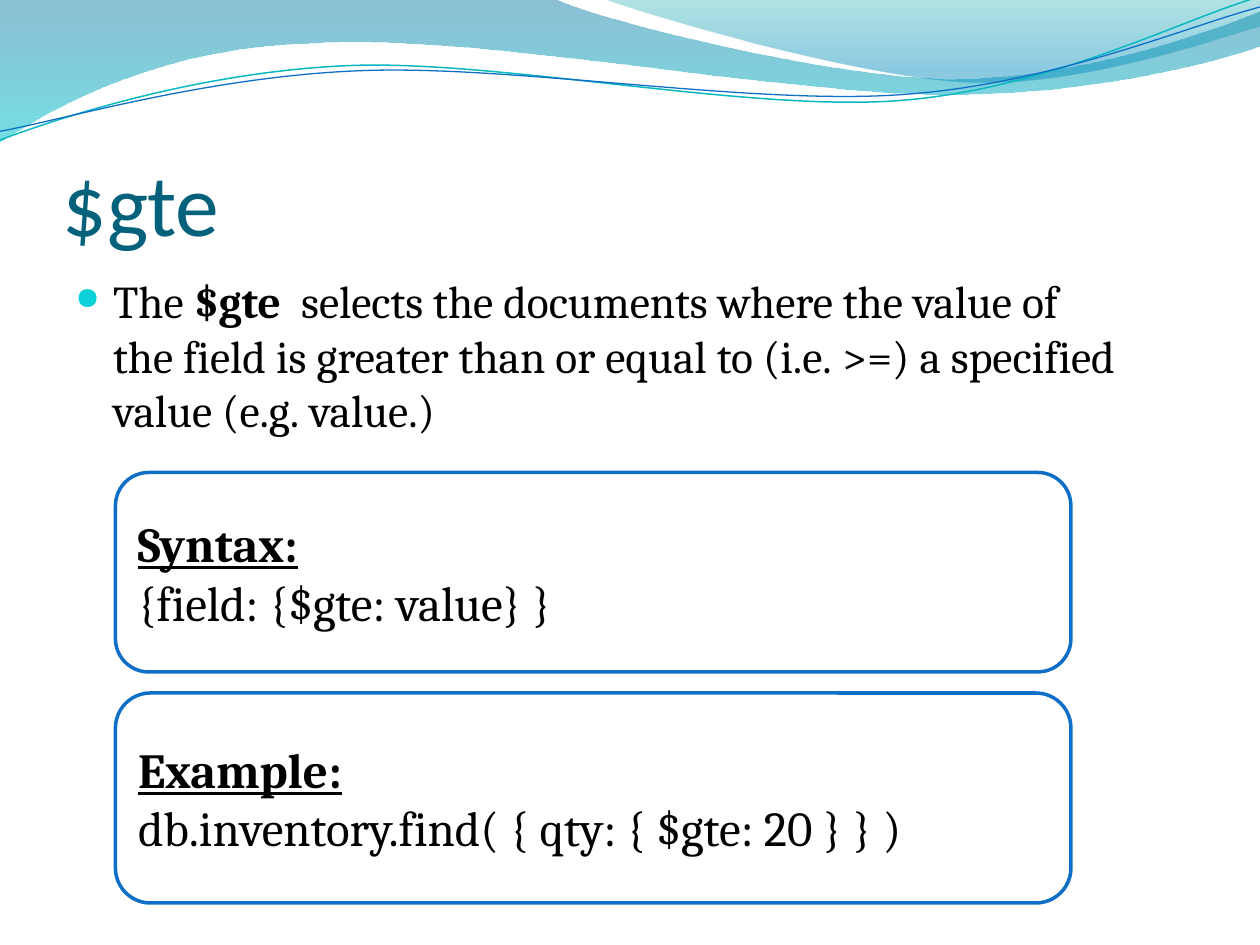
from lxml.etree import SubElement
from pptx import Presentation
from pptx.dml.color import RGBColor
from pptx.enum.shapes import MSO_SHAPE
from pptx.enum.text import MSO_ANCHOR, PP_ALIGN
from pptx.oxml import parse_xml
from pptx.oxml.ns import nsdecls, qn
from pptx.util import Pt

WHITE = RGBColor(0xFF, 0xFF, 0xFF)
BLACK = RGBColor(0, 0, 0)
TITLE_TEAL = RGBColor(0x04, 0x61, 0x7B)
BLUE = RGBColor(0x0F, 0x6F, 0xC6)
TEAL = RGBColor(0x0A, 0xB8, 0xBF)
BULLET_CYAN = RGBColor(0x0B, 0xD0, 0xD9)
DEEP_BLUE = RGBColor(0x00, 0x74, 0xA1)
AQUA = RGBColor(0x00, 0xC6, 0xCF)
SEA_GREEN = RGBColor(0x00, 0xA1, 0xA9)
SKY_BLUE = RGBColor(0x00, 0x8B, 0xBF)


def tie(text):
    """Turn each ~ into a no-break space."""
    return text.replace("~", chr(160))


class SlideWriter:
    heading_font = "Calibri"
    body_font = "Cambria"

    def __init__(self, slide):
        self.shapes = slide.shapes

    def curve(self, path, closed):
        """Outline of points (2 numbers) and cubic curves (6 numbers)."""
        start, *rest = [[(Pt(x), Pt(y)) for x, y in zip(part[::2], part[1::2])]
                        for part in path]
        builder = self.shapes.build_freeform(*start[0])
        builder.add_line_segments([vertex for part in rest for vertex in part], close=closed)
        shape = builder.convert_to_shape()
        shape.shadow.inherit = False
        # Merge each run of three straight segments into one cubic curve
        segments = iter(list(shape.element.iter(qn("a:lnTo"))))
        for part in rest:
            pieces = [next(segments) for _ in part]
            if len(pieces) == 3:
                cubic = parse_xml(f'<a:cubicBezTo {nsdecls("a")}/>')
                pieces[0].addprevious(cubic)
                for piece in pieces:
                    cubic.append(piece[0])
                    piece.getparent().remove(piece)
        return shape

    def wave(self, path, stops):
        """Closed wave, shaded downwards; stops are (position %, colour, opacity %)."""
        shape = self.curve(path, True)
        shape.line.fill.background()
        stop_xml = "".join(
            f'<a:gs pos="{position * 1000}"><a:srgbClr val="{colour}">'
            f'<a:alpha val="{opacity * 1000}"/></a:srgbClr></a:gs>'
            for position, colour, opacity in stops)
        gradient = parse_xml(
            f'<a:gradFill {nsdecls("a")} rotWithShape="1"><a:gsLst>{stop_xml}</a:gsLst>'
            '<a:lin ang="5400000" scaled="0"/></a:gradFill>')
        shape.element.spPr.find(qn("a:custGeom")).addnext(gradient)

    def strand(self, path, colour, width):
        shape = self.curve(path, False)
        shape.fill.background()
        shape.line.color.rgb = colour
        shape.line.width = Pt(width)

    def style(self, paragraph, size, colour=BLACK, name=body_font):
        font = paragraph.font
        font.size, font.name, font.color.rgb = Pt(size), name, colour

    def text_frame(self, left, top, width, height):
        box = self.shapes.add_textbox(Pt(left), Pt(top), Pt(width), Pt(height))
        box.text_frame.word_wrap = True
        return box.text_frame

    def title(self, text, *bounds):
        frame = self.text_frame(*bounds)
        frame.vertical_anchor = MSO_ANCHOR.BOTTOM
        frame.margin_left = frame.margin_right = frame.margin_bottom = 0
        paragraph = frame.paragraphs[0]
        paragraph.text = text
        self.style(paragraph, 50, TITLE_TEAL, self.heading_font)

    def bullet(self, runs, *bounds):
        """One bulleted paragraph; runs are (text, bold)."""
        paragraph = self.text_frame(*bounds).paragraphs[0]
        paragraph.space_before = Pt(5.2)
        for text, bold in runs:
            run = paragraph.add_run()
            run.text = tie(text)
            run.font.bold = bold
        properties = paragraph._p.get_or_add_pPr()
        properties.set("marL", str(Pt(21.6)))
        properties.set("indent", str(-Pt(21.6)))
        colour = SubElement(properties, qn("a:buClr"))
        SubElement(colour, qn("a:srgbClr"), val=str(BULLET_CYAN))
        SubElement(properties, qn("a:buSzPct"), val="68000")
        SubElement(properties, qn("a:buChar"), char="●")
        self.style(paragraph, 26)

    def panel(self, heading, code, left, top, width, height):
        shape = self.shapes.add_shape(MSO_SHAPE.ROUNDED_RECTANGLE,
                                      Pt(left), Pt(top), Pt(width), Pt(height))
        shape.shadow.inherit = False
        shape.fill.solid()
        shape.fill.fore_color.rgb = WHITE
        shape.line.color.rgb = BLUE
        shape.line.width = Pt(2)
        frame = shape.text_frame
        frame.word_wrap = True
        frame.vertical_anchor = MSO_ANCHOR.MIDDLE
        frame.text = f"{heading}\n{tie(code)}"
        for paragraph, is_heading in zip(frame.paragraphs, (True, False)):
            paragraph.alignment = PP_ALIGN.LEFT
            self.style(paragraph, 28)
            paragraph.font.bold = paragraph.font.underline = is_heading


def main():
    presentation = Presentation()
    presentation.slide_width, presentation.slide_height = Pt(720), Pt(540)
    writer = SlideWriter(presentation.slides.add_slide(presentation.slide_layouts[6]))

    # Waves along the top
    writer.wave([(0, 0), (317, -0.7), (343, 12, 478, 45, 546, 45),
                 (614, 45, 690, 19, 720, 6.5), (721, 26),
                 (708, 32, 626, 55, 537, 54), (448, 54, 275, 20, 185, 24.5),
                 (93, 26, 33, 60, -0.7, 81.4)],
                [(0, DEEP_BLUE, 45), (100, AQUA, 55)])
    writer.wave([(345, -0.7), (367, 8, 491, 44.5, 554, 47),
                 (616, 49.5, 692, 23, 720, 15), (720, 0)],
                [(0, SEA_GREEN, 30), (80, SKY_BLUE, 45)])
    writer.strand([(0, 80), (34.5, 67, 114, 41, 199.5, 37.5),
                   (284.5, 34, 427, 64, 513.5, 57.5),
                   (600, 51, 675.5, 11, 718.5, -1.5)], TEAL, 0.85)
    writer.strand([(0, 75), (34, 69, 118, 44, 204, 40.5),
                   (290, 36.5, 430, 60.5, 516, 54),
                   (602, 48, 678, 15, 720, 4)], BLUE, 0.75)

    # Title and description
    writer.title("$gte", 36, 55.4, 648, 90)
    writer.bullet([("The~", False), ("$gte", True),
                   ("~ selects the documents where the value of the~field~is greater than "
                    "or equal to (i.e.~>=) a specified value (e.g.~value.)", False)],
                  36, 152.6, 648, 345.6)

    # Syntax and example panels
    writer.panel("Syntax:", "{field:~{$gte:~value}~}", 66, 270, 546, 114)
    writer.panel("Example:", "db.inventory.find( { qty: { $gte: 20 } } )", 66, 396, 546, 120)

    presentation.save("out.pptx")


if __name__ == "__main__":
    main()
